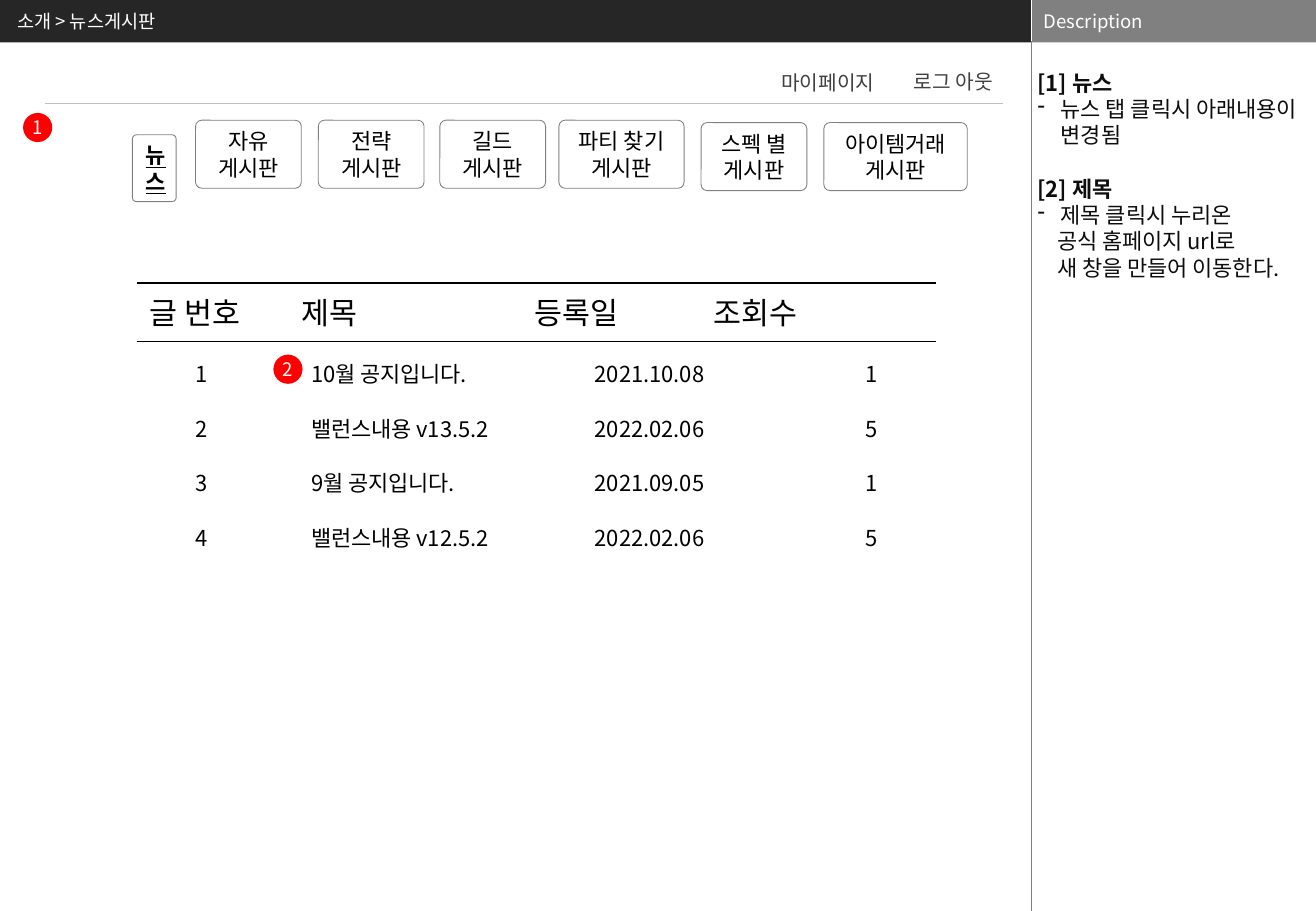
from dataclasses import dataclass
from typing import NamedTuple

from lxml import etree
from pptx import Presentation
from pptx.dml.color import RGBColor
from pptx.enum.shapes import MSO_CONNECTOR, MSO_SHAPE
from pptx.enum.text import MSO_ANCHOR, PP_ALIGN
from pptx.oxml.ns import qn
from pptx.util import Emu, Pt

LEFT, CENTER = PP_ALIGN.LEFT, PP_ALIGN.CENTER
TOP, MIDDLE = MSO_ANCHOR.TOP, MSO_ANCHOR.MIDDLE
RECTANGLE, ROUNDED, OVAL = MSO_SHAPE.RECTANGLE, MSO_SHAPE.ROUNDED_RECTANGLE, MSO_SHAPE.OVAL
STRAIGHT = MSO_CONNECTOR.STRAIGHT
EMU_PER_PX = 9144


@dataclass(frozen=True)
class Theme:
    font: str = "Noto Sans CJK KR"
    tab_font: str = "Karla"
    black: str = "000000"
    ink: str = "0D0D0D"
    dark: str = "262626"
    menu: str = "404040"
    gray: str = "808080"
    pale: str = "BFBFBF"
    white: str = "FFFFFF"
    red: str = "FF0000"
    small: int = 11
    medium: int = 12
    body: int = 13
    heading: int = 18
    hairline: float = 0.25
    thin: float = 0.5
    rule: float = 0.75


class Box(NamedTuple):
    left: int
    top: int
    width: int
    height: int


THEME = Theme()
TABS = [
    (52, 0, 87, "자유"), (153, 0, 87, "전략"), (253, 0, 87, "길드"),
    (351, 0, 103, "파티 찾기"), (468, 2, 87, "스펙 별"), (569, 2, 118, "아이템거래"),
]
POSTS = [
    ("1", "10월 공지입니다.", "2021.10.08", "1"),
    ("2", "밸런스내용 v13.5.2", "2022.02.06", "5"),
    ("3", "9월 공지입니다.", "2021.09.05", "1"),
    ("4", "밸런스내용 v12.5.2", "2022.02.06", "5"),
]
COLUMNS = [
    ("글 번호", 125, 10, 0, 19, CENTER),
    ("제목", 192, 10, 18, 0, LEFT),
    ("등록일", 157, 10, 52, 0, CENTER),
    ("조회수", 183, 0, 77, 0, CENTER),
]
NOTES = [
    ("[1] 뉴스", ["뉴스 탭 클릭시 아래내용이 변경됨"]),
    ("[2] 제목", ["제목 클릭시 누리온", "공식 홈페이지 url로", "새 창을 만들어 이동한다."]),
]


def px(length):
    return Emu(length * EMU_PER_PX)


def style(para, text, size, color, align=LEFT, font=THEME.font, bold=False):
    para.text = text
    para.alignment = align
    para.font.name = font
    para.font.size = Pt(size)
    para.font.color.rgb = RGBColor.from_string(color)
    para.font.bold = bold


def set_margins(holder, left, top, right, bottom):
    holder.margin_left, holder.margin_top = px(left), px(top)
    holder.margin_right, holder.margin_bottom = px(right), px(bottom)


def add_text(page, box, text, size, color, margins=(10, 5, 10, 5), anchor=TOP, wrap=True):
    frame = page.shapes.add_textbox(*map(px, box)).text_frame
    frame.word_wrap = wrap
    frame.vertical_anchor = anchor
    set_margins(frame, *margins)
    style(frame.paragraphs[0], text, size, color)
    return frame


def add_panel(page, kind, box, fill, outline=None):
    panel = page.shapes.add_shape(kind, *map(px, box))
    panel.shadow.inherit = False
    panel.fill.solid()
    panel.fill.fore_color.rgb = RGBColor.from_string(fill)
    if outline:
        panel.line.color.rgb = RGBColor.from_string(outline)
        panel.line.width = Pt(THEME.thin)
    else:
        panel.line.fill.background()
    panel.text_frame.vertical_anchor = MIDDLE
    return panel


def add_line(page, start, end, color, weight):
    line = page.shapes.add_connector(STRAIGHT, *map(px, start + end))
    line.line.color.rgb = RGBColor.from_string(color)
    line.line.width = Pt(weight)
    etree.SubElement(line.element.spPr, qn("a:effectLst"))


def add_marker(page, left, top, number):
    frame = add_panel(page, OVAL, Box(left, top, 24, 24), THEME.red).text_frame
    frame.word_wrap = False
    set_margins(frame, 0, 0, 0, 0)
    style(frame.paragraphs[0], number, THEME.small, THEME.white, CENTER)


def add_title_bar(page, box, text, fill, inset):
    add_panel(page, RECTANGLE, box, fill)
    add_text(page, box, text, THEME.small, THEME.white, (inset, 5, 10, 5), MIDDLE)


def add_menu(page, box):
    add_line(page, (box.left, box.top + 28), (box.left + box.width, box.top + 28), THEME.pale, THEME.rule)
    for left, top, width, text in [(606, 1, 84, "마이페이지"), (715, 0, 73, "로그 아웃")]:
        place = Box(box.left + left, box.top + top, width, 20)
        add_text(page, place, text, THEME.medium, THEME.menu, (0, 0, 0, 0), wrap=False)


def add_tab(page, box, lines, align):
    tab = add_panel(page, ROUNDED, box, THEME.white, THEME.gray)
    tab.adjustments[0] = 0.09
    frame = tab.text_frame
    frame.word_wrap = True
    for index, text in enumerate(lines):
        para = frame.add_paragraph() if index else frame.paragraphs[0]
        style(para, text, THEME.body, THEME.black, align, THEME.tab_font)
    return frame.paragraphs[0]


def add_tabs(page, box):
    current = add_tab(page, Box(box.left, box.top + 12, 36, 55), ["뉴스"], LEFT)
    current.font.bold = True
    current.font.underline = True
    for left, top, width, name in TABS:
        add_tab(page, Box(box.left + left, box.top + top, width, 56), [name, "게시판"], CENTER)


def add_posts(page, box):
    table = page.shapes.add_table(len(POSTS) + 1, len(COLUMNS), *map(px, box)).table
    table.first_row = table.horz_banding = False
    for row in table.rows:
        row.height = px(45)
    table.rows[0].height = px(48)
    for index, (title, width, inset, left, right, align) in enumerate(COLUMNS):
        table.columns[index].width = px(width)
        header = table.cell(0, index)
        set_margins(header, inset, 5, 0, 0)
        style(header.text_frame.paragraphs[0], title, THEME.heading, THEME.black)
        header.fill.background()
        for number, post in enumerate(POSTS, 1):
            cell = table.cell(number, index)
            cell.vertical_anchor = MIDDLE
            set_margins(cell, left, 7, right, 0)
            style(cell.text_frame.paragraphs[0], post[index], THEME.body, THEME.black, align)
            cell.fill.background()
    for top in (box.top, box.top + 48):
        add_line(page, (box.left, top), (box.left + box.width, top), THEME.black, THEME.rule)


def add_notes(page, box):
    frame = page.shapes.add_textbox(*map(px, box)).text_frame
    frame.word_wrap = True
    set_margins(frame, 4, 22, 4, 0)
    for index, (title, lines) in enumerate(NOTES):
        heading = frame.add_paragraph() if index else frame.paragraphs[0]
        style(heading, title, THEME.body, THEME.ink, bold=True)
        heading.space_before = Pt(16 * index)
        for number, text in enumerate(lines):
            para = frame.add_paragraph()
            style(para, text, THEME.body, THEME.ink)
            layout = para.font.fill and para.runs[0].font and para._p.get_or_add_pPr()
            layout.set("marL", str(px(16 if number else 19)))
            if number == 0:
                layout.set("indent", str(-px(19)))
                bullet = etree.Element(qn("a:buChar"), char="-")
                layout.find(qn("a:defRPr")).addprevious(bullet)


def build_page(deck):
    page = deck.slides.add_slide(deck.slide_layouts[6])
    add_title_bar(page, Box(0, 0, 849, 35), "소개 > 뉴스게시판", THEME.dark, 14)
    add_title_bar(page, Box(849, 0, 234, 35), "Description", THEME.gray, 10)
    add_line(page, (849, 0), (849, 35), THEME.white, THEME.hairline)
    add_line(page, (849, 34), (849, 750), THEME.gray, THEME.hairline)
    add_notes(page, Box(850, 35, 234, 715))
    add_menu(page, Box(37, 57, 788, 28))
    add_tabs(page, Box(109, 99, 687, 67))
    add_posts(page, Box(113, 233, 657, 228))
    add_marker(page, 19, 93, "1")
    add_marker(page, 225, 292, "2")


def main():
    deck = Presentation()
    deck.slide_width, deck.slide_height = px(1083), px(750)
    build_page(deck)
    deck.save("out.pptx")


if __name__ == "__main__":
    main()
